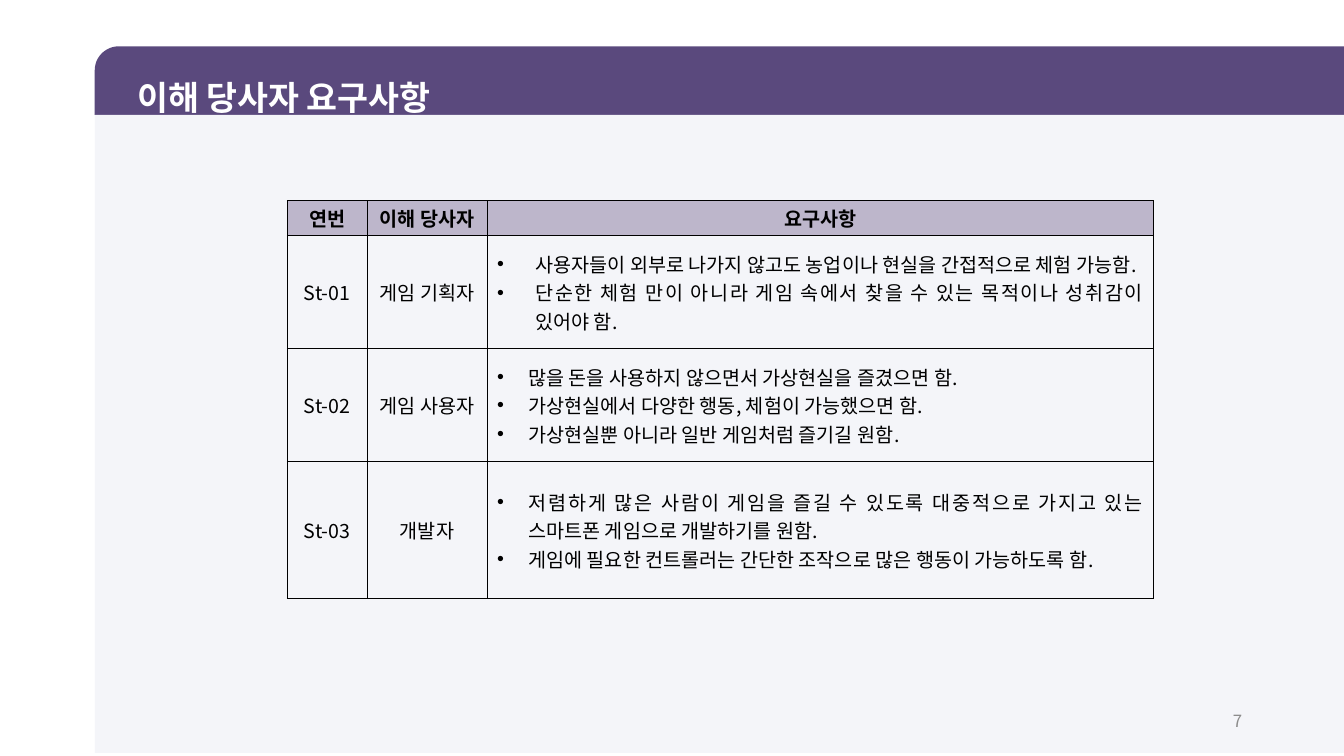
import lxml.etree
import pptx
import pptx.dml.color
import pptx.enum.shapes
import pptx.enum.text
import pptx.oxml.ns
import pptx.util

FONT = "Noto Sans CJK KR"
COLORS = {
    "band": "5A497D",
    "panel": "F4F5F9",
    "header": "BDB6CB",
    "white": "FFFFFF",
    "black": "000000",
    "number": "8C8C8C",
}
WIDTH, HEIGHT = 13.33, 7.5
ALIGN = pptx.enum.text.PP_ALIGN
ANCHOR = pptx.enum.text.MSO_ANCHOR
SHAPE = pptx.enum.shapes.MSO_SHAPE

COLUMN_SHARES = (5.93, 8.93, 49.59)
ROW_SHARES = (4.67, 14.93, 14.93, 18.13)
HEADINGS = ("연번", "이해 당사자", "요구사항")
# Each row: number, stakeholder, bullet indent in inches, requirements
STAKEHOLDERS = (
    ("St-01", "게임 기획자", 0.38, (
        "사용자들이 외부로 나가지 않고도 농업이나 현실을 간접적으로 체험 가능함.",
        "단순한 체험 만이 아니라 게임 속에서 찾을 수 있는 목적이나 성취감이 있어야 함.",
    )),
    ("St-02", "게임 사용자", 0.31, (
        "많을 돈을 사용하지 않으면서 가상현실을 즐겼으면 함.",
        "가상현실에서 다양한 행동, 체험이 가능했으면 함.",
        "가상현실뿐 아니라 일반 게임처럼 즐기길 원함.",
    )),
    ("St-03", "개발자", 0.31, (
        "저렴하게 많은 사람이 게임을 즐길 수 있도록 대중적으로 가지고 있는 스마트폰 게임으로 개발하기를 원함.",
        "게임에 필요한 컨트롤러는 간단한 조작으로 많은 행동이 가능하도록 함.",
    )),
)


def across(percent):
    """Length as a percentage of the slide's width."""
    return pptx.util.Inches(WIDTH * percent / 100)


def down(percent):
    """Length as a percentage of the slide's height."""
    return pptx.util.Inches(HEIGHT * percent / 100)


def rgb(name):
    return pptx.dml.color.RGBColor.from_string(COLORS[name])


def add_child(parent, tag, **attributes):
    child = lxml.etree.SubElement(parent, pptx.oxml.ns.qn(tag))
    for name, value in attributes.items():
        child.set(name, str(value))
    return child


def write(para, text, size, color, bold=False, align=ALIGN.LEFT):
    para.alignment = align
    span = para.add_run()
    span.text = text
    span.font.size = pptx.util.Pt(size)
    span.font.bold = bold
    span.font.name = FONT
    span.font.color.rgb = rgb(color)
    add_child(span.font._element, "a:ea", typeface=FONT)


def add_bullet(para, indent):
    properties = para._p.get_or_add_pPr()
    hanging = pptx.util.Inches(indent)
    properties.set("marL", str(hanging))
    properties.set("indent", str(-hanging))
    add_child(properties, "a:buFont", typeface="Arial")
    add_child(properties, "a:buChar", char="•")


def add_panel(page, kind, top, height, color):
    panel = page.shapes.add_shape(
        kind, across(7.05), down(top), across(92.95), down(height))
    panel.shadow.inherit = False
    panel.fill.solid()
    panel.fill.fore_color.rgb = rgb(color)
    panel.line.fill.background()
    panel.element.spPr.get_or_add_xfrm().set("flipH", "1")
    return panel


def format_title(page, text):
    title = page.shapes.title
    title.element.getparent().append(title.element)  # in front of the band
    title.left, title.top = across(9.45), down(6.8)
    title.width, title.height = across(35.1), down(8.4)
    frame = title.text_frame
    frame.auto_size = pptx.enum.text.MSO_AUTO_SIZE.NONE
    frame.vertical_anchor = ANCHOR.TOP
    para = frame.paragraphs[0]
    para.line_spacing = 1.5
    write(para, text, 24, "white", bold=True)


def add_borders(cell):
    properties = cell._tc.get_or_add_tcPr()
    for position, side in enumerate(("a:lnL", "a:lnR", "a:lnT", "a:lnB")):
        line = add_child(properties, side, w=pptx.util.Pt(0.56))
        add_child(add_child(line, "a:solidFill"), "a:srgbClr", val=COLORS["black"])
        properties.insert(position, line)


def fill_cell(cell, lines, indent=None, header=False):
    """Format a cell; an indent makes its lines justified bullets."""
    cell.vertical_anchor = ANCHOR.MIDDLE
    cell.margin_top = cell.margin_bottom = pptx.util.Inches(0.03)
    if header:
        cell.fill.solid()
        cell.fill.fore_color.rgb = rgb("header")
    else:
        cell.fill.background()
    add_borders(cell)
    frame = cell.text_frame
    for index, text in enumerate(lines):
        para = frame.add_paragraph() if index else frame.paragraphs[0]
        if indent:
            add_bullet(para, indent)
        align = ALIGN.JUSTIFY if indent else ALIGN.CENTER
        write(para, text, 14, "black", header, align)


def add_requirements(page):
    table = page.shapes.add_table(
        len(ROW_SHARES), len(COLUMN_SHARES), across(21.38), down(26.53),
        across(sum(COLUMN_SHARES)), down(sum(ROW_SHARES))).table
    for column, share in zip(table.columns, COLUMN_SHARES):
        column.width = across(share)
    for row, share in zip(table.rows, ROW_SHARES):
        row.height = down(share)
    for column, heading in enumerate(HEADINGS):
        fill_cell(table.cell(0, column), [heading], header=True)
    for row, (number, holder, indent, needs) in enumerate(STAKEHOLDERS, 1):
        fill_cell(table.cell(row, 0), [number])
        fill_cell(table.cell(row, 1), [holder])
        fill_cell(table.cell(row, 2), needs, indent)


def add_page_number(page, number):
    box = page.shapes.add_textbox(
        across(70.67), down(92.67), across(22.5), down(5.33))
    frame = box.text_frame
    frame.word_wrap = True
    frame.vertical_anchor = ANCHOR.MIDDLE
    write(frame.paragraphs[0], number, 12, "number", align=ALIGN.RIGHT)


def main():
    deck = pptx.Presentation()
    deck.slide_width = pptx.util.Inches(WIDTH)
    deck.slide_height = pptx.util.Inches(HEIGHT)
    page = deck.slides.add_slide(deck.slide_layouts.get_by_name("Title Only"))
    band = add_panel(page, SHAPE.ROUND_1_RECTANGLE, 6.13, 9.07, "band")
    band.adjustments[0] = 0.35
    add_panel(page, SHAPE.RECTANGLE, 15.2, 84.4, "panel")
    format_title(page, "이해 당사자 요구사항")
    add_requirements(page)
    add_page_number(page, "7")
    deck.save("out.pptx")


if __name__ == "__main__":
    main()
